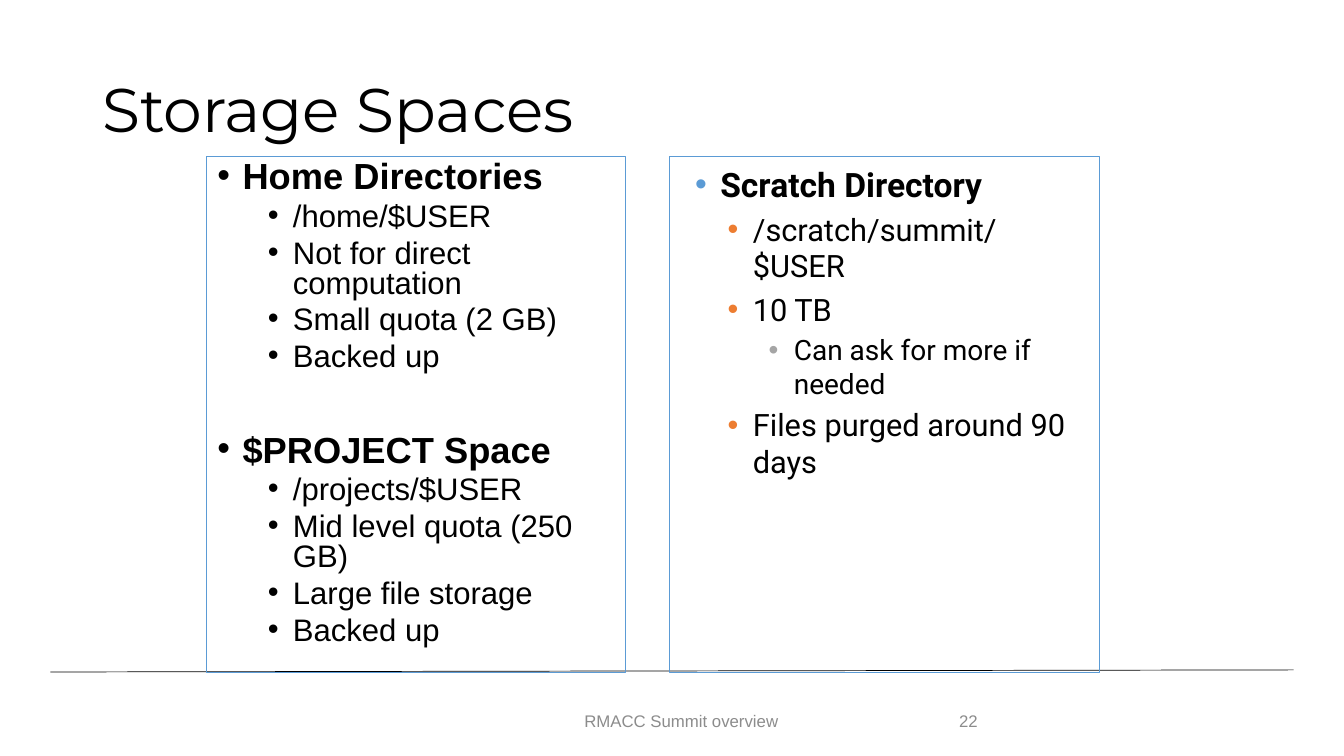
from lxml import etree
from pptx import Presentation
from pptx.dml.color import RGBColor
from pptx.enum.shapes import MSO_CONNECTOR, MSO_SHAPE
from pptx.enum.text import MSO_ANCHOR, PP_ALIGN
from pptx.oxml.ns import qn
from pptx.util import Pt

EMU_PER_PX = 9525
STRAIGHT = MSO_CONNECTOR.STRAIGHT
RECTANGLE = MSO_SHAPE.RECTANGLE
TOP, MIDDLE = MSO_ANCHOR.TOP, MSO_ANCHOR.MIDDLE
LEFT, CENTER = PP_ALIGN.LEFT, PP_ALIGN.CENTER

BLACK = RGBColor(0x00, 0x00, 0x00)
GRAY = RGBColor(0x8C, 0x8C, 0x8C)
BLUE = RGBColor(0x5B, 0x9B, 0xD5)
ORANGE = RGBColor(0xED, 0x7D, 0x31)
SILVER = RGBColor(0xA5, 0xA5, 0xA5)

PANEL_TOP, PANEL_HEIGHT = 149, 492
FOOTER_TOP, FOOTER_HEIGHT = 667, 38
HANGING = 24

# Formats by outline level
STORAGE_LEVELS = [
    dict(font="Arial", size=25.9, bold=True, indent=24, before=10, spacing=0.8),
    dict(font="Arial", size=22.2, indent=72, before=5, spacing=0.8),
]
SCRATCH_LEVELS = [
    dict(font="Roboto", size=24, bold=True, indent=36, before=4.8, bullet_color=BLUE),
    dict(font="Roboto", size=22, indent=67, before=4.4, bullet_color=ORANGE),
    dict(font="Roboto", size=20, indent=106, before=4, bullet_color=SILVER),
]
SECTION_GAP = 44

HOME_ITEMS = [
    (0, "Home Directories"),
    (1, "/home/$USER"),
    (1, "Not for direct computation"),
    (1, "Small quota (2 GB)"),
    (1, "Backed up"),
]
PROJECT_ITEMS = [
    (0, "$PROJECT Space"),
    (1, "/projects/$USER"),
    (1, "Mid level quota (250 GB)"),
    (1, "Large file storage"),
    (1, "Backed up"),
]
SCRATCH_ITEMS = [
    (0, "Scratch Directory"),
    (1, "/scratch/summit/$USER"),
    (1, "10 TB"),
    (2, "Can ask for more if needed"),
    (1, "Files purged around 90 days"),
]


def px(*lengths):
    return [length * EMU_PER_PX for length in lengths]


def add_bullet(para, indent, color):
    properties = para._p.get_or_add_pPr()
    margin, hanging = px(indent, -HANGING)
    properties.set("marL", str(margin))
    properties.set("indent", str(hanging))
    if color is not None:
        holder = etree.SubElement(properties, qn("a:buClr"))
        etree.SubElement(holder, qn("a:srgbClr"), val=str(color))
    etree.SubElement(properties, qn("a:buFont"), typeface="Arial")
    etree.SubElement(properties, qn("a:buChar"), char="•")


def write_text(para, text, *, font="Arial", size=12, color=BLACK, bold=False,
               align=LEFT, level=0, before=0, spacing=None, indent=None,
               bullet_color=None):
    if indent is not None:
        add_bullet(para, indent, bullet_color)
    para.level = level
    para.alignment = align
    para.space_before = Pt(before)
    if spacing is not None:
        para.line_spacing = spacing
    span = para.add_run()
    span.text = text
    span.font.name = font
    span.font.size = Pt(size)
    span.font.bold = bold
    span.font.color.rgb = color


def add_label(page, bounds, text, **text_format):
    frame = page.shapes.add_textbox(*px(*bounds)).text_frame
    frame.word_wrap = True
    frame.vertical_anchor = MIDDLE
    write_text(frame.paragraphs[0], text, **text_format)


def add_panel(page, left, width, sections, levels, inset):
    """Add an outlined box with one bulleted outline per section."""
    box = page.shapes.add_shape(RECTANGLE, *px(left, PANEL_TOP, width, PANEL_HEIGHT))
    box.shadow.inherit = False
    box.fill.background()
    box.line.color.rgb = BLUE
    box.line.width = Pt(0.75)
    frame = box.text_frame
    frame.word_wrap = True
    frame.vertical_anchor = TOP
    side, edge = px(*inset)
    frame.margin_left = frame.margin_right = side
    frame.margin_top = frame.margin_bottom = edge
    for section_index, section in enumerate(sections):
        for item_index, (level, text) in enumerate(section):
            text_format = dict(levels[level], level=level)
            para = frame.add_paragraph()
            if item_index == 0:
                text_format["before"] = SECTION_GAP
                if section_index == 0:
                    frame._txBody.remove(para._p)
                    para = frame.paragraphs[0]
                    text_format["before"] = 0
            write_text(para, text, **text_format)


def add_rule(page, start, end):
    rule = page.shapes.add_connector(STRAIGHT, *px(*start, *end))
    rule.line.color.rgb = BLACK
    rule.line.width = Pt(0.5)
    etree.SubElement(rule._element.spPr, qn("a:effectLst"))


def main():
    deck = Presentation()
    deck.slide_width, deck.slide_height = px(1280, 720)
    page = deck.slides.add_slide(deck.slide_layouts[6])

    add_rule(page, (48, 640), (1232, 638))
    add_label(page, (88, 38, 1104, 139), "Storage Spaces",
              font="Montserrat", size=44, spacing=0.9)
    add_panel(page, 197, 399, [HOME_ITEMS, PROJECT_ITEMS], STORAGE_LEVELS, (10, 5))
    add_label(page, (433, FOOTER_TOP, 432, FOOTER_HEIGHT), "RMACC Summit overview",
              color=GRAY, align=CENTER)
    add_label(page, (904, FOOTER_TOP, 72, FOOTER_HEIGHT), "22", color=GRAY)
    add_panel(page, 638, 409, [SCRATCH_ITEMS], SCRATCH_LEVELS, (12, 7))

    deck.save("out.pptx")


if __name__ == "__main__":
    main()
